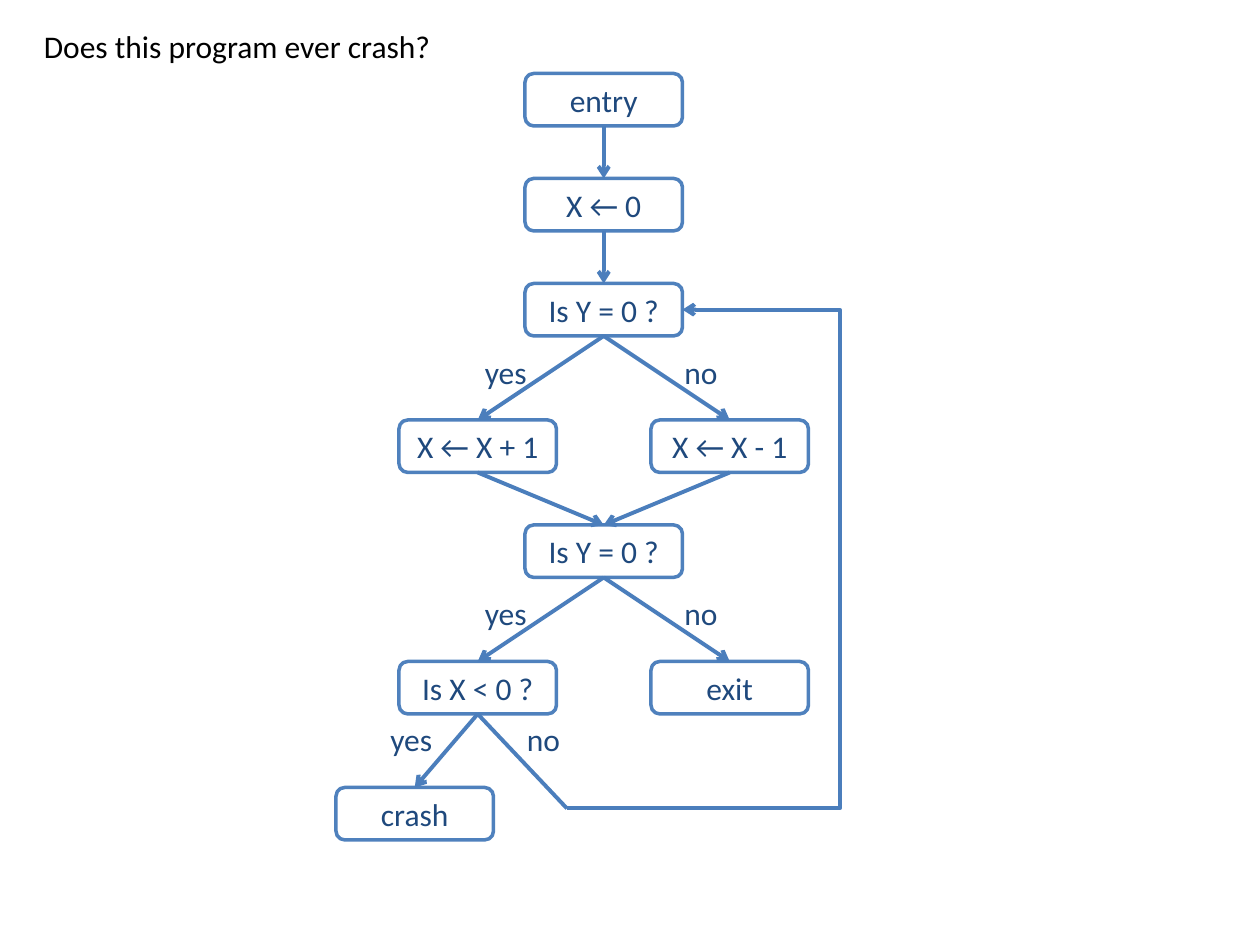
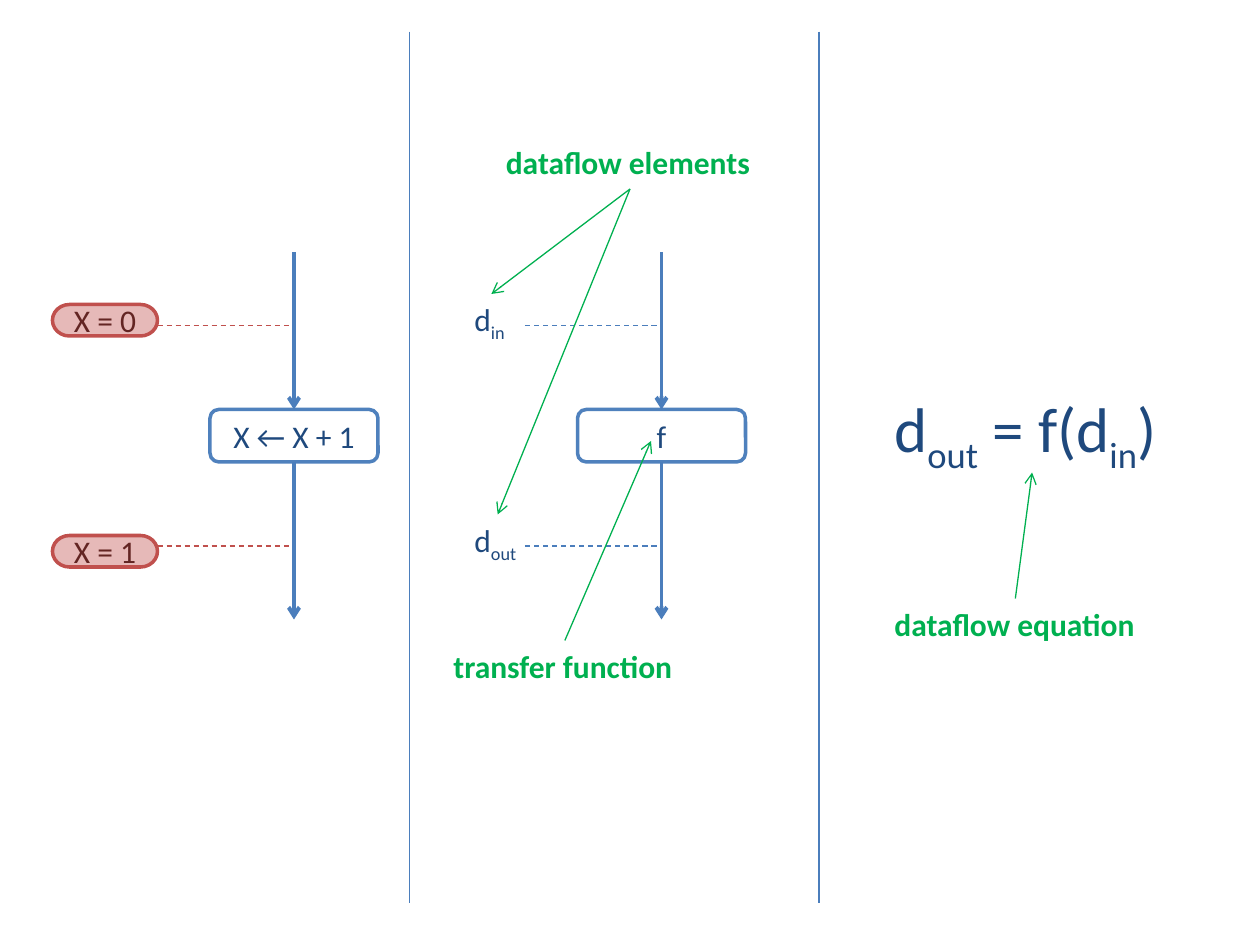
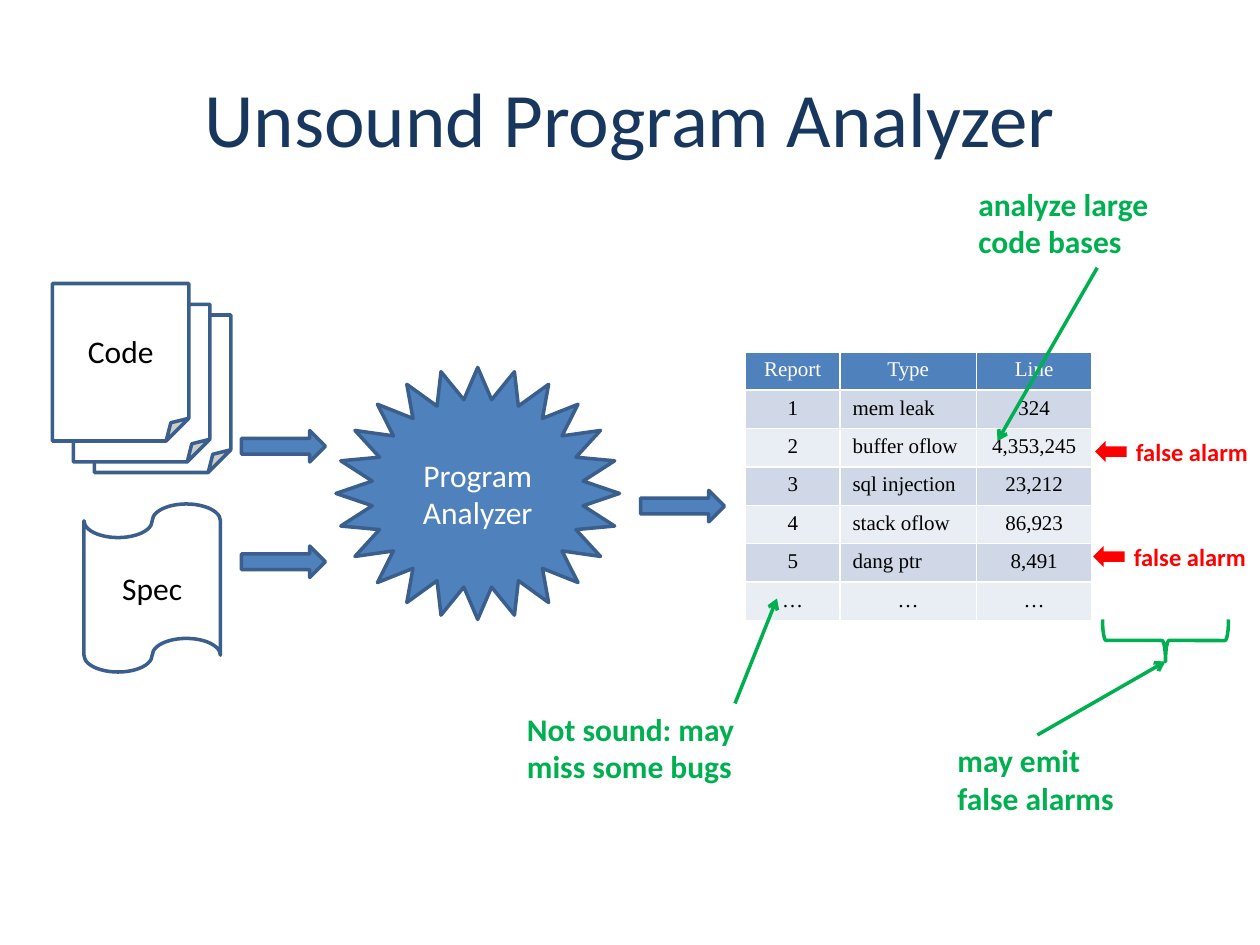
"""Build three slides on dataflow analysis and program analyzers."""
from lxml.etree import SubElement
from pptx import Presentation
from pptx.dml.color import RGBColor
from pptx.enum.dml import MSO_LINE
from pptx.enum.shapes import MSO_CONNECTOR, MSO_SHAPE
from pptx.enum.text import MSO_ANCHOR, MSO_AUTO_SIZE, PP_ALIGN
from pptx.oxml.ns import qn
from pptx.util import Inches, Pt

BLUE = RGBColor(0x4F, 0x81, 0xBD)
EDGE = RGBColor(0x4B, 0x7E, 0xBC)
STEEL = RGBColor(0x3A, 0x5F, 0x8C)
NAVY = RGBColor(0x1F, 0x49, 0x7D)
DEEP = RGBColor(0x17, 0x37, 0x5E)
GREEN = RGBColor(0x00, 0xB0, 0x50)
RED = RGBColor(0xFF, 0x00, 0x00)
BRICK = RGBColor(0xC0, 0x50, 0x4D)
ROSE = RGBColor(0xE6, 0xB9, 0xB8)
WINE = RGBColor(0x63, 0x25, 0x23)
PALE = RGBColor(0xD0, 0xD8, 0xE8)
MIST = RGBColor(0xE9, 0xED, 0xF4)
WHITE = RGBColor(0xFF, 0xFF, 0xFF)
BLACK = RGBColor(0x00, 0x00, 0x00)
TOP, LOW, RIGHT = 0, 2, 3


class Deck:
    """Hold the style and the current slide, on a grid of 120 by 90 cells."""

    def __init__(self):
        self.file = Presentation()
        self.file.slide_width, self.file.slide_height = Inches(10), Inches(7.5)
        self.cell = self.file.slide_width / 120

    def grid(self, *cells):
        return [round(n * self.cell) for n in cells]

    def page(self, title=None):
        layout = self.file.slide_layouts[5 if title else 6]
        self.slide = self.file.slides.add_slide(layout)
        self.shapes = self.slide.shapes
        if title:
            self.shapes.title.text_frame.text = title
            self.style(self.shapes.title.text_frame, 44, DEEP)

    def style(self, frame, size, color, bold=False, align=None, face="Calibri"):
        for para in frame.paragraphs:
            if align is not None:
                para.alignment = align
            for run in para.runs:
                font = run.font
                font.name, font.size, font.bold = face, Pt(size), bold
                font.color.rgb = color

    def shape(self, kind, spot, text="", fill=None, edge=None, ink=BLACK, turn=0):
        item = self.shapes.add_shape(kind, *self.grid(*spot))
        item.shadow.inherit = False
        item.rotation = turn
        if fill is None:
            item.fill.background()
        else:
            item.fill.solid()
            item.fill.fore_color.rgb = fill
        if edge is None:
            item.line.fill.background()
        else:
            item.line.color.rgb, item.line.width = edge, Pt(2)
        if text:
            item.text_frame.text = text
            item.text_frame.vertical_anchor = MSO_ANCHOR.MIDDLE
            self.style(item.text_frame, 18, ink, align=PP_ALIGN.CENTER)
        return item

    def box(self, text, x, y, wide=15):
        return self.shape(MSO_SHAPE.ROUNDED_RECTANGLE, (x, y, wide, 5), text,
                          edge=BLUE, ink=NAVY)

    def label(self, text, x, y, wide, ink=NAVY, size=18, bold=False, wrap=False):
        item = self.shapes.add_textbox(*self.grid(x, y, wide, 4.8))
        frame = item.text_frame
        frame.word_wrap, frame.auto_size = wrap, MSO_AUTO_SIZE.SHAPE_TO_FIT_TEXT
        frame.text = text
        self.style(frame, size, ink, bold)

    def note(self, text, x, y, wide, wrap=False):
        self.label(text, x, y, wide, GREEN, bold=True, wrap=wrap)

    def formula(self, parts, x, y, wide, size=18):
        """Write parts that alternate between the base line and subscript."""
        item = self.shapes.add_textbox(*self.grid(x, y, wide, size * 0.24))
        frame = item.text_frame
        frame.word_wrap = False
        for part in parts:
            frame.paragraphs[0].add_run().text = part
        self.style(frame, size, NAVY)
        for mark in list(item.element.iter(qn("a:rPr")))[1::2]:
            mark.set("baseline", "-25000")

    def line(self, start, end, color=EDGE, width=2.25, arrow=True, dash=False,
             kind=MSO_CONNECTOR.STRAIGHT):
        item = self.shapes.add_connector(kind, *self.grid(*start, *end))
        item.line.color.rgb, item.line.width = color, Pt(width)
        if dash:
            item.line.dash_style = MSO_LINE.DASH
        frame = item.element.spPr
        if arrow:
            SubElement(frame.find(qn("a:ln")), qn("a:tailEnd"), type="arrow")
        SubElement(frame, qn("a:effectLst"))
        return item

    def link(self, above, below):
        item = self.line((0, 0), (0, 0))
        item.begin_connect(above, LOW)
        item.end_connect(below, TOP)

    def loop(self, start, end, reach, goal):
        """Draw an elbow that runs right to the column reach, then back up."""
        item = self.line(start, end, kind=MSO_CONNECTOR.ELBOW)
        item.end_connect(goal, RIGHT)
        (x, y), (right, top) = start, end
        long, short = y - top, right - x
        item.left, item.top, item.width, item.height = self.grid(
            (x + right - long) / 2, (y + top - short) / 2, long, short)
        form = item.element.spPr.find(qn("a:xfrm"))
        for key, value in (("rot", "5400000"), ("flipH", "1"), ("flipV", "1")):
            form.set(key, value)
        bend = item.element.spPr.find(qn("a:prstGeom"))
        bend.set("prst", "bentConnector4")
        turns = bend.find(qn("a:avLst"))
        for name, share in (("adj1", 0), ("adj2", (reach - x) / short)):
            SubElement(turns, qn("a:gd"), name=name,
                       fmla=f"val {round(share * 100000)}")

    def table(self, rows, x, y, widths, tall):
        spot = self.grid(x, y, sum(widths), tall)
        grid = self.shapes.add_table(len(rows), len(widths), *spot).table
        for col, wide in zip(grid.columns, self.grid(*widths)):
            col.width = wide
        for i, row in enumerate(rows):
            for j, text in enumerate(row):
                cell = grid.cell(i, j)
                cell.text_frame.text = text
                cell.fill.solid()
                cell.fill.fore_color.rgb = (PALE if i % 2 else MIST) if i else BLUE
                left = j == 1 and 0 < i < len(rows) - 1
                self.style(cell.text_frame, 12, BLACK if i else WHITE,
                           align=PP_ALIGN.LEFT if left else PP_ALIGN.CENTER,
                           face="Times New Roman")


def flow(deck):
    """Draw the flowchart of the program."""
    deck.page()
    entry = deck.box("entry", 50, 7)
    init = deck.box("X ← 0", 50, 17)
    first = deck.box("Is Y = 0 ?", 50, 27)
    plus = deck.box("X ← X + 1", 38, 40)
    minus = deck.box("X ← X - 1", 62, 40)
    again = deck.box("Is Y = 0 ?", 50, 50)
    check = deck.box("Is X < 0 ?", 38, 63)
    leave = deck.box("exit", 62, 63)
    crash = deck.box("crash", 32, 75)
    for pair in ((entry, init), (init, first), (first, plus), (first, minus),
                 (plus, again), (minus, again), (again, check), (again, leave),
                 (check, crash)):
        deck.link(*pair)
    for yes, no, y in ((45, 64, 33), (45, 64, 56), (36, 49, 68)):
        deck.label("yes", yes, y, 6.5)
        deck.label("no", no, y, 5.6)
    out = deck.line((45.5, 68), (54, 77), arrow=False)
    out.begin_connect(check, LOW)
    deck.loop((54, 77), (65, 29.5), 80, first)
    deck.label("Does this program ever crash?", 3, 2, 44, BLACK, wrap=True)


def facts(deck):
    """Show one step, its abstract form and its equation side by side."""
    deck.page()
    for x, text, color in ((28, "X ← X + 1", BRICK), (63, "f", EDGE)):
        for y in (31, 52):
            deck.line((x - 13, y), (x, y), color, 0.75, False, True)
        step = deck.box(text, x - 8, 39, 16)
        deck.line((x, 24), (x, 39)).end_connect(step, TOP)
        deck.line((x, 44), (x, 59)).begin_connect(step, LOW)
    for x in (39, 78):
        deck.line((x, 3), (x, 86), width=0.75, arrow=False)
    for text, y in (("X = 0", 29), ("X = 1", 51)):
        deck.shape(MSO_SHAPE.FLOWCHART_TERMINATOR, (5, y, 10, 3), text,
                   ROSE, BRICK, WINE)
    deck.formula(("d", "in"), 44, 28, 5.5)
    deck.formula(("d", "out"), 44, 49, 6.8)
    deck.formula(("d", "out", " = f(d", "in", ")"), 84, 36.5, 28.7, 36)
    deck.note("dataflow elements", 47, 13, 26, True)
    deck.note("transfer function", 42, 61, 23.4)
    deck.note("dataflow equation", 84, 57, 25.6)
    for start, end in (((60, 18), (46.8, 28)), ((60, 18), (47.4, 49)),
                       ((53.8, 61), (62, 42)), ((96.7, 57), (98.3, 45))):
        deck.line(start, end, GREEN, 0.75)


def tool(deck):
    """Show the analyzer with its inputs, its report and its flaws."""
    deck.page("Unsound Program Analyzer")
    for x, y, text in ((9, 30, ""), (7, 29, ""), (5, 27, "Code")):
        deck.shape(MSO_SHAPE.FOLDED_CORNER, (x, y, 13, 15), text, WHITE, STEEL)
    deck.shape(MSO_SHAPE.FLOWCHART_PUNCHED_TAPE, (8, 48, 13, 16), "Spec",
               WHITE, STEEL)
    deck.shape(MSO_SHAPE.STAR_24_POINT, (32, 35, 27, 24), "Program Analyzer",
               BLUE, STEEL, WHITE)
    for x, y in ((23, 41), (23, 52), (61, 46.7)):
        deck.shape(MSO_SHAPE.RIGHT_ARROW, (x, y, 8, 3), fill=BLUE, edge=STEEL)
    deck.table((("Report", "Type", "Line"),
                ("1", "mem leak", "324"),
                ("2", "buffer oflow", "4,353,245"),
                ("3", "sql injection", "23,212"),
                ("4", "stack oflow", "86,923"),
                ("5", "dang ptr", "8,491"),
                ("…", "…", "…")), 71, 33.5, (9, 13, 11), 25.6)
    for x, y in ((107, 41), (106.8, 51)):
        deck.label("false alarm", x, y, 13.2, RED, 14, True)
        deck.shape(MSO_SHAPE.RIGHT_ARROW, (x - 2.7, y + 1, 3, 2), fill=RED, turn=180)
    deck.shape(MSO_SHAPE.RIGHT_BRACE, (109, 55, 4, 12), edge=GREEN, turn=90)
    deck.note("analyze large\ncode bases", 92, 17, 25, True)
    deck.note("may emit\nfalse alarms", 90, 70, 17.4)
    deck.note("Not sound: may miss some bugs", 49, 67, 28, True)
    for start, end in (((104.5, 25.5), (95, 42)), ((98.8, 70), (111, 63)),
                       ((70, 67), (74, 57))):
        deck.line(start, end, GREEN, 2)


def main():
    deck = Deck()
    for draw in (flow, facts, tool):
        draw(deck)
    deck.file.save("out.pptx")


if __name__ == "__main__":
    main()
